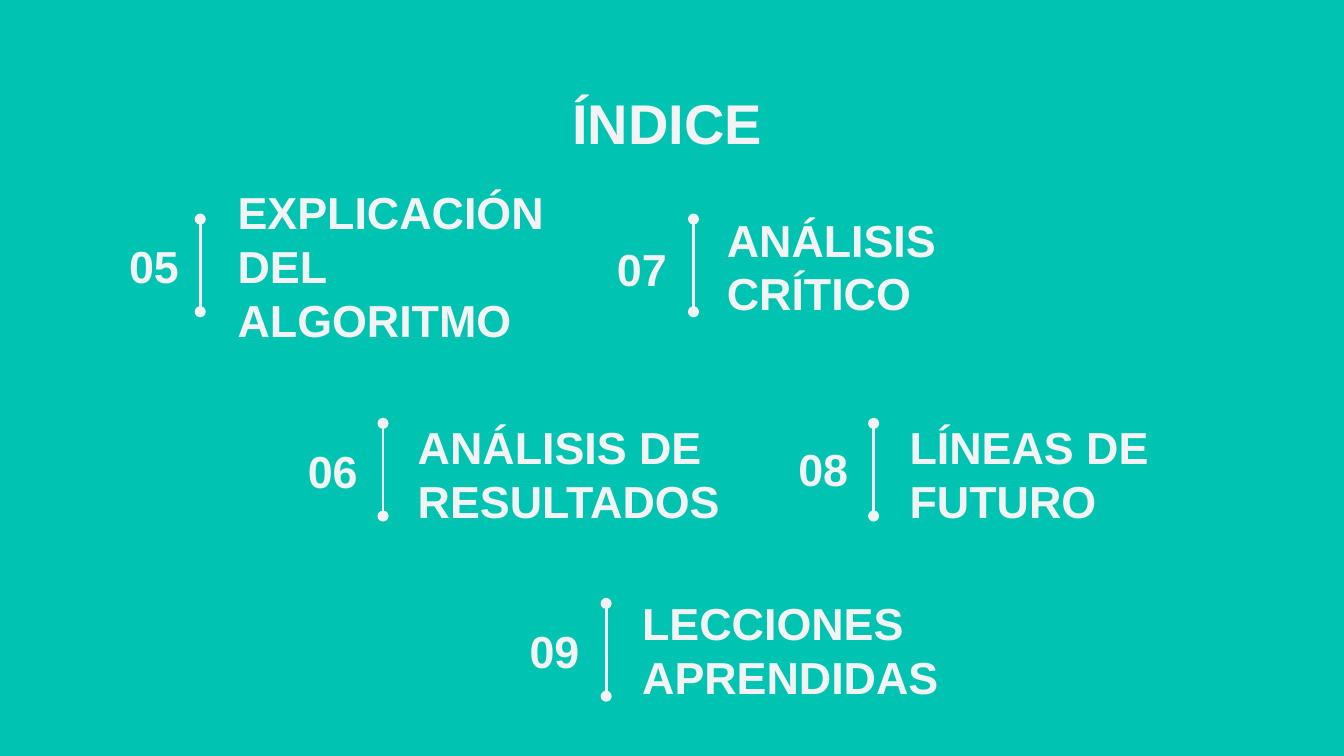
from lxml import etree
from pptx import Presentation
from pptx.dml.color import RGBColor
from pptx.enum import shapes, text
from pptx.oxml import ns
from pptx.util import Inches, Pt

COLORS = {"background": "00C3B1", "ink": "F3F3F3"}
FONT = "Arial"
RULE_HEIGHT = 0.69
NUMBER_SIZE = (0.66, 0.46)

# number, label, rule (x, top), number (left, top), label box (left, top, width, height)
ENTRIES = [
    ("05", "EXPLICACIÓN DEL ALGORITMO", (1.49, 1.63), (0.77, 1.75), (1.67, 1.55, 2.56, 0.85)),
    ("06", "ANÁLISIS DE RESULTADOS", (2.85, 3.15), (2.1, 3.27), (3.01, 3.11, 2.56, 0.83)),
    ("07", "ANÁLISIS CRÍTICO", (5.16, 1.63), (4.4, 1.77), (5.31, 1.75, 2.84, 0.46)),
    ("08", "LÍNEAS DE FUTURO", (6.5, 3.15), (5.75, 3.26), (6.67, 3.11, 2.54, 0.83)),
    ("09", "LECCIONES APRENDIDAS", (4.51, 4.49), (3.75, 4.61), (4.68, 4.42, 2.54, 0.83)),
]


def write(shape, words, size, align, anchor=text.MSO_ANCHOR.MIDDLE):
    frame = shape.text_frame
    frame.word_wrap = True
    frame.auto_size = text.MSO_AUTO_SIZE.NONE
    frame.vertical_anchor = anchor
    frame.margin_left = frame.margin_right = Inches(0.1)
    frame.margin_top = frame.margin_bottom = Inches(0.1)
    para = frame.paragraphs[0]
    para.alignment = align
    para.line_spacing = 1.0
    span = para.add_run()
    span.text = words
    span.font.name = FONT
    span.font.size = Pt(size)
    span.font.bold = True
    span.font.color.rgb = RGBColor.from_string(COLORS["ink"])


def add_title(page, words, box):
    title = page.shapes.title
    title.left, title.top, title.width, title.height = map(Inches, box)
    write(title, words, 30, text.PP_ALIGN.CENTER, text.MSO_ANCHOR.TOP)


def add_rule(page, x, top):
    """Draw a vertical line with a dot at each end."""
    rule = page.shapes.add_connector(
        shapes.MSO_CONNECTOR.STRAIGHT,
        Inches(x), Inches(top), Inches(x), Inches(top + RULE_HEIGHT))
    rule.line.color.rgb = RGBColor.from_string(COLORS["ink"])
    rule.line.width = Pt(1.5)
    line = rule.line._get_or_add_ln()
    for end in ("a:headEnd", "a:tailEnd"):
        etree.SubElement(line, ns.qn(end), type="oval")
    etree.SubElement(rule._element.spPr, ns.qn("a:effectLst"))


def add_entry(page, number, label, rule, number_corner, label_box):
    """Place a number, a rule and a label from left to right."""
    for words, box, align in (
        (number, number_corner + NUMBER_SIZE, text.PP_ALIGN.RIGHT),
        (label, label_box, text.PP_ALIGN.LEFT),
    ):
        write(page.shapes.add_textbox(*map(Inches, box)), words, 24, align)
    add_rule(page, *rule)


def main():
    deck = Presentation()
    deck.slide_width, deck.slide_height = Inches(10), Inches(10 * 9 / 16)
    page = deck.slides.add_slide(deck.slide_layouts.get_by_name("Title Only"))
    fill = page.background.fill
    fill.solid()
    fill.fore_color.rgb = RGBColor.from_string(COLORS["background"])
    add_title(page, "ÍNDICE", (0.75, 0.56, 8.43, 0.63))
    for entry in ENTRIES:
        add_entry(page, *entry)
    deck.save("out.pptx")


if __name__ == "__main__":
    main()
